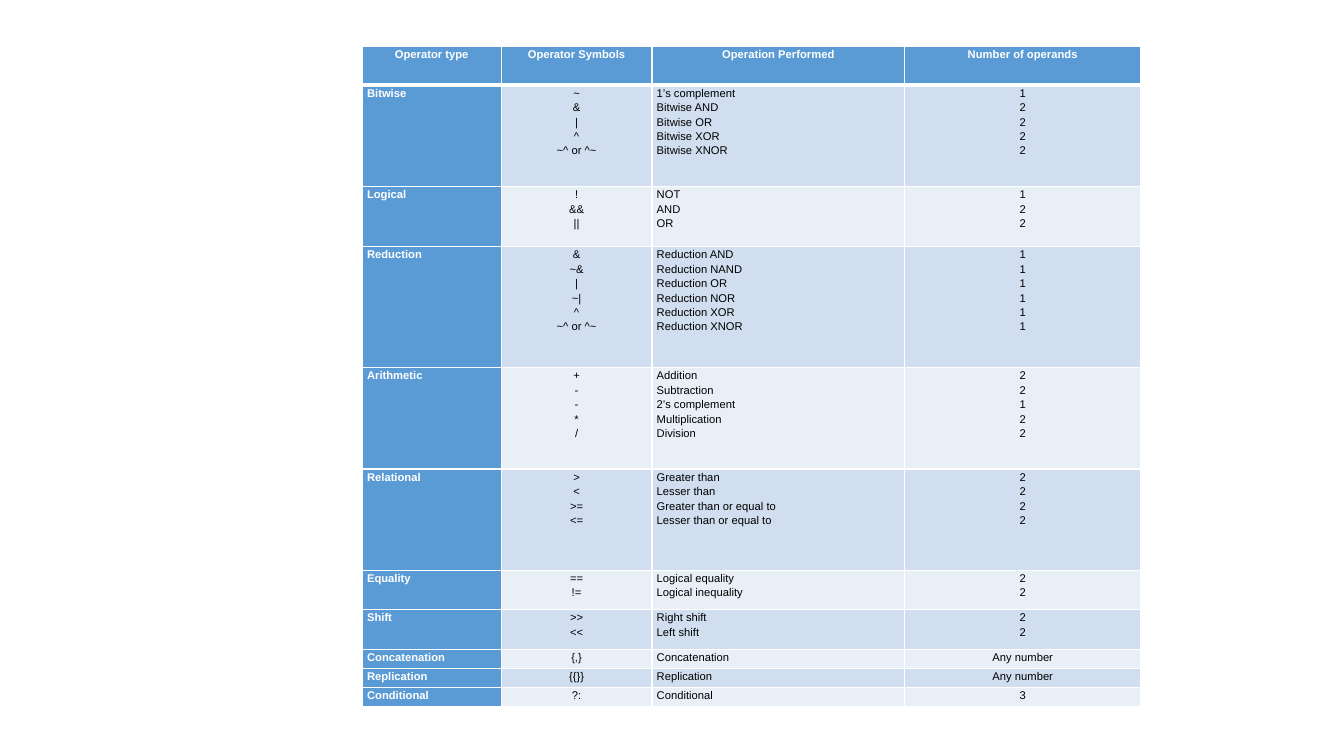
from dataclasses import dataclass

from lxml.etree import SubElement
from pptx import Presentation
from pptx.dml.color import RGBColor
from pptx.enum.text import PP_ALIGN
from pptx.oxml.ns import qn
from pptx.util import Cm, Pt

COLORS = {
    "header": "5B9BD5",
    "odd_row": "D0DEEF",
    "even_row": "E9EFF7",
    "border": "FFFFFF",
    "header_text": "FFFFFF",
    "body_text": "000000",
}
COLUMN_WIDTHS = (3.5, 3.8, 6.37, 5.95)
COLUMN_ALIGNMENTS = (PP_ALIGN.JUSTIFY, PP_ALIGN.CENTER, PP_ALIGN.LEFT, PP_ALIGN.CENTER)
HEADINGS = ("Operator type", "Operator Symbols", "Operation Performed", "Number of operands")
HEADER_HEIGHT = 0.98


@dataclass(frozen=True)
class Operator:
    symbol: str
    operation: str
    operands: str


@dataclass(frozen=True)
class OperatorGroup:
    name: str
    height: float
    operators: tuple[Operator, ...]

    def cell_texts(self) -> tuple[str, ...]:
        return (
            self.name,
            "\n".join(operator.symbol for operator in self.operators),
            "\n".join(operator.operation for operator in self.operators),
            "\n".join(operator.operands for operator in self.operators),
        )


GROUPS = (
    OperatorGroup("Bitwise", 2.56, (
        Operator("~", "1’s complement", "1"),
        Operator("&", "Bitwise AND", "2"),
        Operator("|", "Bitwise OR", "2"),
        Operator("^", "Bitwise XOR", "2"),
        Operator("~^ or ^~", "Bitwise XNOR", "2"),
    )),
    OperatorGroup("Logical", 1.51, (
        Operator("!", "NOT", "1"),
        Operator("&&", "AND", "2"),
        Operator("||", "OR", "2"),
    )),
    OperatorGroup("Reduction", 3.06, (
        Operator("&", "Reduction AND", "1"),
        Operator("~&", "Reduction NAND", "1"),
        Operator("|", "Reduction OR", "1"),
        Operator("~|", "Reduction NOR", "1"),
        Operator("^", "Reduction XOR", "1"),
        Operator("~^ or ^~", "Reduction XNOR", "1"),
    )),
    OperatorGroup("Arithmetic", 2.55, (
        Operator("+", "Addition", "2"),
        Operator("-", "Subtraction", "2"),
        Operator("-", "2’s complement", "1"),
        Operator("*", "Multiplication", "2"),
        Operator("/", "Division", "2"),
    )),
    OperatorGroup("Relational", 2.55, (
        Operator(">", "Greater than", "2"),
        Operator("<", "Lesser than", "2"),
        Operator(">=", "Greater than or equal to", "2"),
        Operator("<=", "Lesser than or equal to", "2"),
    )),
    OperatorGroup("Equality", 1, (
        Operator("==", "Logical equality", "2"),
        Operator("!=", "Logical inequality", "2"),
    )),
    OperatorGroup("Shift", 1, (
        Operator(">>", "Right shift", "2"),
        Operator("<<", "Left shift", "2"),
    )),
    OperatorGroup("Concatenation", 0.48, (Operator("{,}", "Concatenation", "Any number"),)),
    OperatorGroup("Replication", 0.48, (Operator("{{}}", "Replication", "Any number"),)),
    OperatorGroup("Conditional", 0.48, (Operator("?:", "Conditional", "3"),)),
)


def color(name: str) -> RGBColor:
    return RGBColor.from_string(COLORS[name])


def add_borders(cell, top: float, bottom: float) -> None:
    properties = cell._tc.get_or_add_tcPr()
    for side, width in (("L", 1), ("R", 1), ("T", top), ("B", bottom)):
        line = SubElement(properties, qn(f"a:ln{side}"), w=str(Pt(width)))
        fill = SubElement(line, qn("a:solidFill"))
        SubElement(fill, qn("a:srgbClr"), val=COLORS["border"])


def fill_cell(cell, text: str, row: int, column: int) -> None:
    is_header = row == 0 or column == 0
    add_borders(cell, top=3 if row == 1 else 1, bottom=3 if row == 0 else 1)
    cell.fill.solid()
    cell.fill.fore_color.rgb = color("header" if is_header else "odd_row" if row % 2 else "even_row")
    cell.margin_left = cell.margin_right = Cm(0.12)
    cell.margin_top = cell.margin_bottom = Cm(0)
    cell.text = text
    for paragraph in cell.text_frame.paragraphs:
        paragraph.alignment = PP_ALIGN.CENTER if row == 0 else COLUMN_ALIGNMENTS[column]
        paragraph.line_spacing = 1.15
        paragraph.font.name = "Arial"
        paragraph.font.size = Pt(8)
        paragraph.font.bold = is_header
        paragraph.font.color.rgb = color("header_text" if is_header else "body_text")


def add_operator_table(slide) -> None:
    heights = (HEADER_HEIGHT, *(group.height for group in GROUPS))
    rows = (HEADINGS, *(group.cell_texts() for group in GROUPS))
    table = slide.shapes.add_table(
        len(rows), len(HEADINGS), Cm(9.13), Cm(1.16), Cm(sum(COLUMN_WIDTHS)), Cm(sum(heights))
    ).table
    table.first_col = True
    for column, width in zip(table.columns, COLUMN_WIDTHS):
        column.width = Cm(width)
    for row, height in zip(table.rows, heights):
        row.height = Cm(height)
    for row_index, texts in enumerate(rows):
        for column_index, text in enumerate(texts):
            fill_cell(table.cell(row_index, column_index), text, row_index, column_index)


def main() -> None:
    presentation = Presentation()
    presentation.slide_width = Cm(33.87)
    presentation.slide_height = Cm(19.05)
    slide = presentation.slides.add_slide(presentation.slide_layouts[6])
    add_operator_table(slide)
    presentation.save("out.pptx")


if __name__ == "__main__":
    main()
